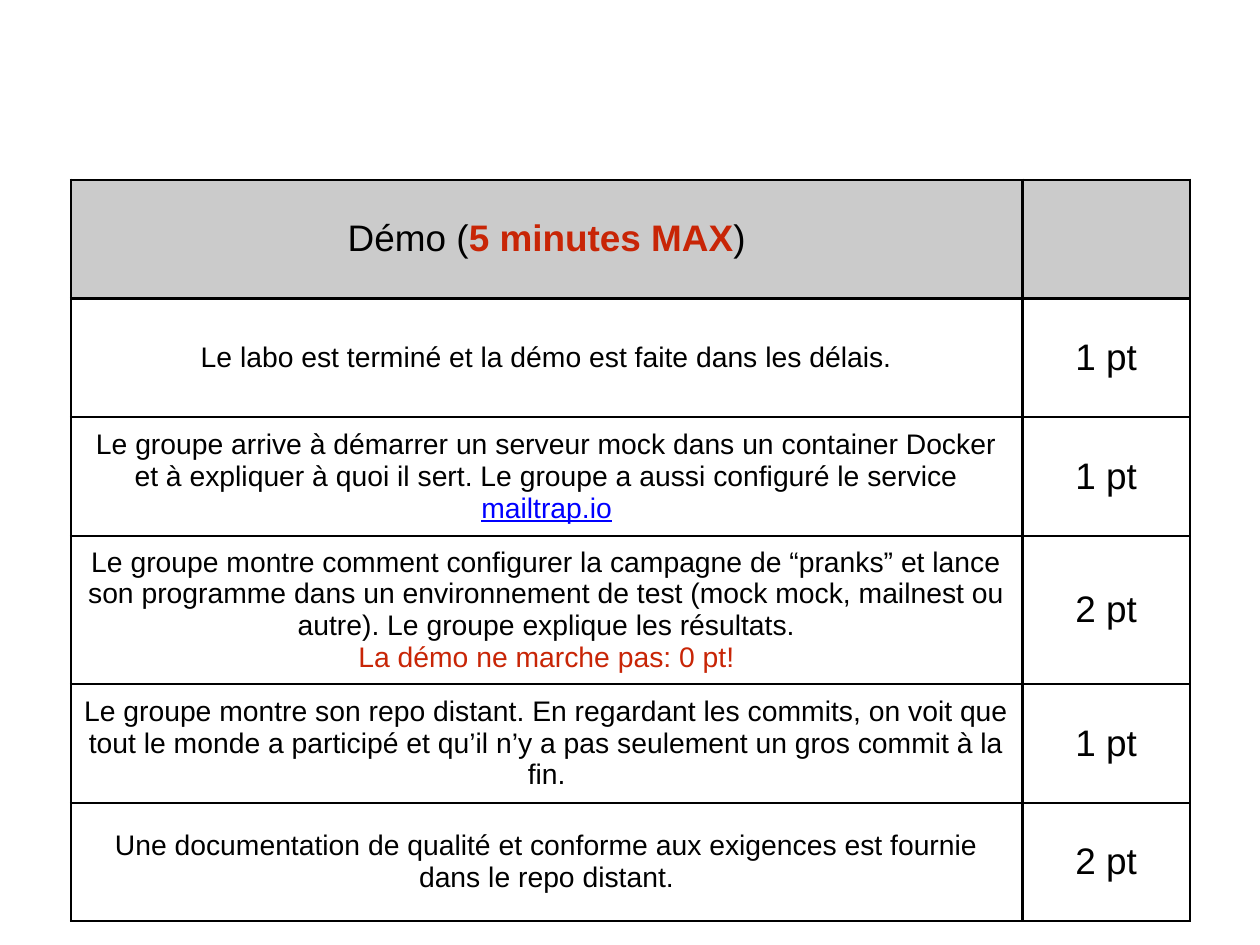
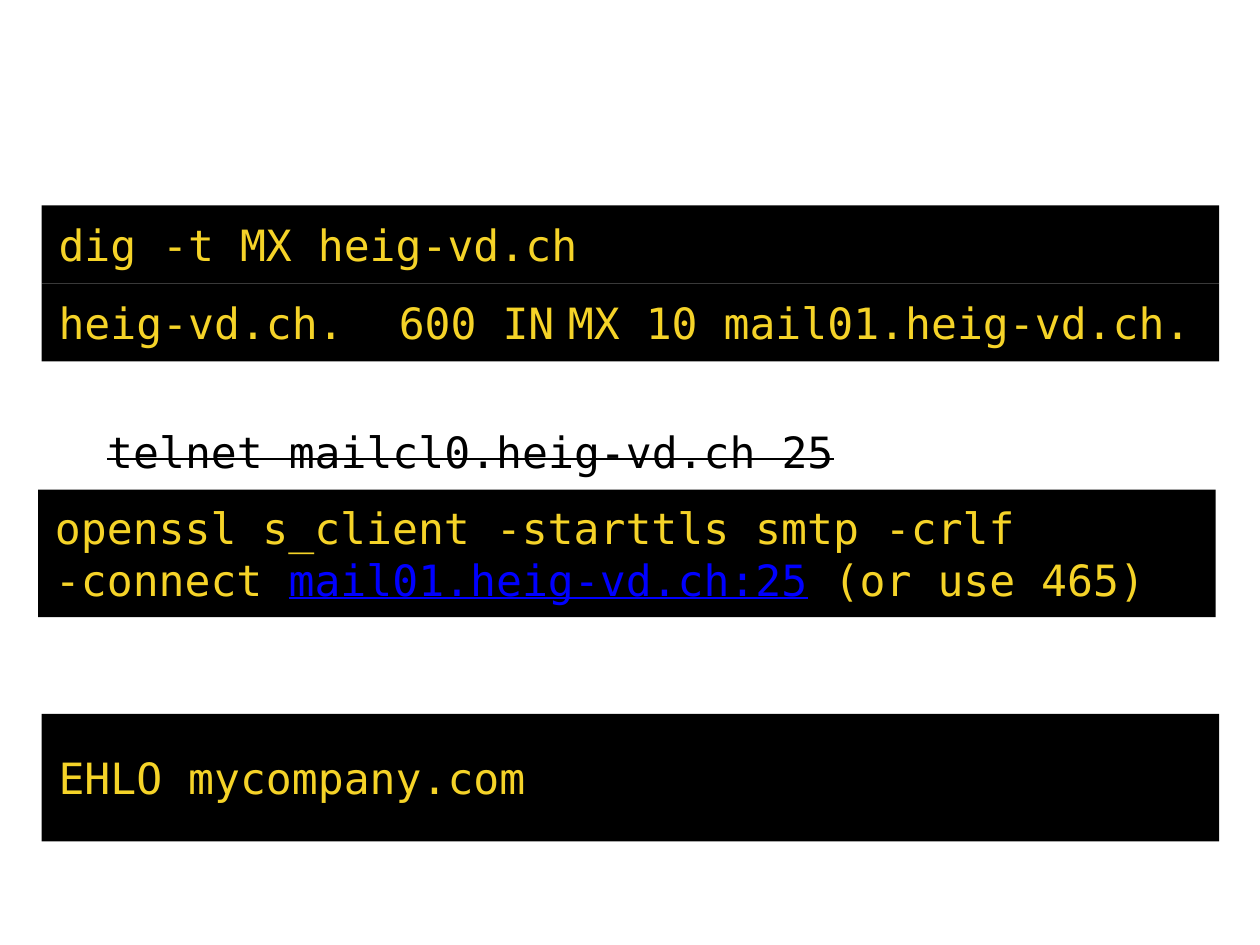
from lxml import etree
from pptx import Presentation, util as u
from pptx.dml.color import RGBColor
from pptx.enum import shapes, text
from pptx.oxml import ns

INK = {"black": "000000", "white": "FFFFFF", "grey": "CBCBCB",
       "red": "C82506", "blue": "0000FF", "gold": "F5D328"}
RGB = {name: RGBColor.from_string(code) for name, code in INK.items()}
SANS, MONO = "Arial", "DejaVu Sans Mono"
LINK = "link"


def write(para, parts, face, size, tone):
    """Fill a paragraph with plain strings and (string, style) pairs."""
    font = para.font
    font.name, font.size = face, u.Pt(size)
    font.color.rgb = RGB[tone]
    for part in parts:
        words, style = (part, None) if isinstance(part, str) else part
        if words == "\n":
            para.add_line_break()
            continue
        run = para.add_run()
        run.text = words
        if style == LINK:
            run.font.color.rgb = RGB["blue"]
            run.font.underline = True
        elif style == "strike":
            run._r.get_or_add_rPr().set("strike", "sngStrike")
        elif style:
            run.font.color.rgb = RGB["red"]
            run.font.bold = style == "alert"


def rule(cell, width):
    """Draw a black border on all four sides of a cell."""
    props = cell._tc.get_or_add_tcPr()
    for side in ("lnL", "lnR", "lnT", "lnB"):
        line = etree.SubElement(props, ns.qn("a:" + side), w=str(u.Pt(width)))
        fill = etree.SubElement(line, ns.qn("a:solidFill"))
        etree.SubElement(fill, ns.qn("a:srgbClr"), val=INK["black"])


deck = Presentation()
deck.slide_width, deck.slide_height = u.Inches(14.22), u.Inches(10.67)
blank = deck.slide_layouts[6]

# Slide 1: grading table
rows = [
    (["Démo (", ("5 minutes MAX", "alert"), ")"], ""),
    (["Le labo est terminé et la démo est faite dans les délais."], "1 pt"),
    (["Le groupe arrive à démarrer un serveur mock dans un container Docker "
      "et à expliquer à quoi il sert. Le groupe a aussi configuré le service ",
      ("mailtrap.io", LINK)], "1 pt"),
    (["Le groupe montre comment configurer la campagne de “pranks” et lance "
      "son programme dans un environnement de test (mock mock, mailnest ou "
      "autre). Le groupe explique les résultats.", "\n",
      ("La démo ne marche pas: 0 pt!", "warn")], "2 pt"),
    (["Le groupe montre son repo distant. En regardant les commits, on voit "
      "que tout le monde a participé et qu’il n’y a pas seulement un gros "
      "commit à la fin."], "1 pt"),
    (["Une documentation de qualité et conforme aux exigences est fournie "
      "dans le repo distant."], "2 pt"),
]
wide, slim, high = 10.74, 1.89, 1.34
slide = deck.slides.add_slide(blank)
grid = slide.shapes.add_table(
    len(rows), 2, u.Inches(0.8), u.Inches(2.03),
    u.Inches(wide + slim), u.Inches(high * len(rows))).table
grid.first_row = grid.horz_banding = False
for col, width in zip(grid.columns, (wide, slim)):
    col.width = u.Inches(width)
for r, (task, mark) in enumerate(rows):
    for c, parts in enumerate((task, [mark] if mark else [])):
        cell = grid.cell(r, c)
        rule(cell, 2)
        if r == 0:
            cell.fill.solid()
            cell.fill.fore_color.rgb = RGB["grey"]
        else:
            cell.fill.background()
        cell.vertical_anchor = text.MSO_ANCHOR.MIDDLE
        cell.margin_left = cell.margin_right = u.Inches(0.12)
        cell.margin_top = cell.margin_bottom = u.Inches(0.12)
        para = cell.text_frame.paragraphs[0]
        para.alignment = text.PP_ALIGN.CENTER
        write(para, parts, SANS, 23 if r and c == 0 else 30, "black")

# Slide 2: terminal commands
full, one, two = 13.29, 0.88, 1.44
left, top = 0.47, 2.32
bars = [
    (left, top, full, one, "black", "gold", ["dig -t MX heig-vd.ch"]),
    (left, top + one, full, one, "black", "gold",
     ["heig-vd.ch.\t600 IN\tMX 10 mail01.heig-vd.ch."]),
    (1.02, 4.66, 9.24, one, "white", "black",
     [("telnet mailcl0.heig-vd.ch 25", "strike")]),
    (left, 8.06, full, two, "black", "gold", ["EHLO mycompany.com"]),
    (0.43, 5.53, full, two, "black", "gold",
     ["openssl s_client -starttls smtp -crlf -connect ",
      ("mail01.heig-vd.ch:25", LINK), " (or use 465)"]),
]
stops = (3.84, 5.75)
slide = deck.slides.add_slide(blank)
for x, y, w, h, back, tone, parts in bars:
    bar = slide.shapes.add_shape(
        shapes.MSO_SHAPE.RECTANGLE, *map(u.Inches, (x, y, w, h)))
    bar.shadow.inherit = False
    bar.fill.solid()
    bar.fill.fore_color.rgb = RGB[back]
    bar.line.fill.background()
    frame = bar.text_frame
    frame.word_wrap = True
    frame.vertical_anchor = text.MSO_ANCHOR.MIDDLE
    frame.margin_left = frame.margin_right = u.Inches(0.19)
    frame.margin_top = frame.margin_bottom = u.Inches(0.1)
    para = frame.paragraphs[0]
    para.alignment = text.PP_ALIGN.LEFT
    if "\t" in parts[0]:
        tabs = etree.SubElement(para._p.get_or_add_pPr(), ns.qn("a:tabLst"))
        for stop in stops:
            etree.SubElement(tabs, ns.qn("a:tab"),
                             pos=str(u.Inches(stop)), algn="l")
    write(para, parts, MONO, 35, tone)

deck.save("out.pptx")
